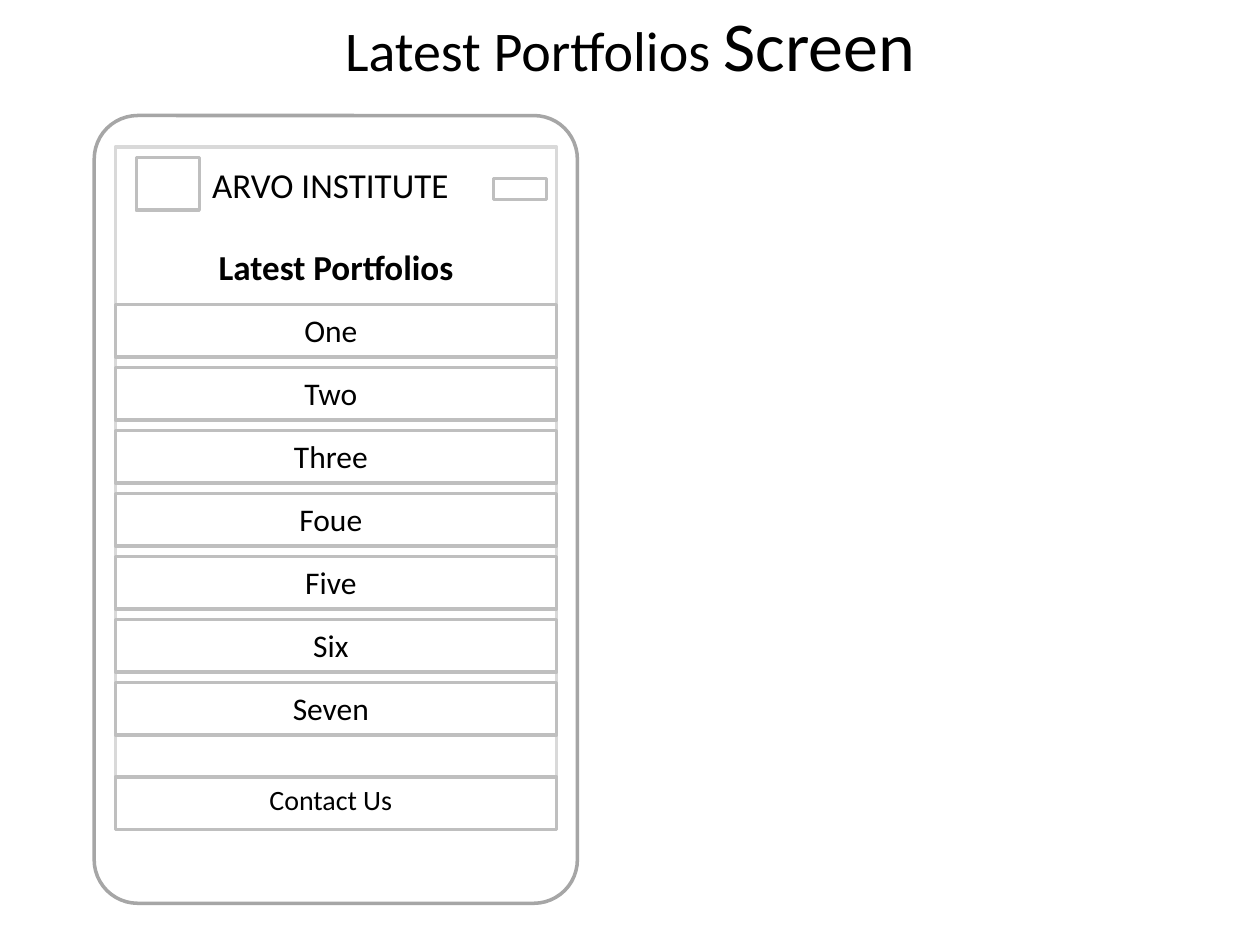
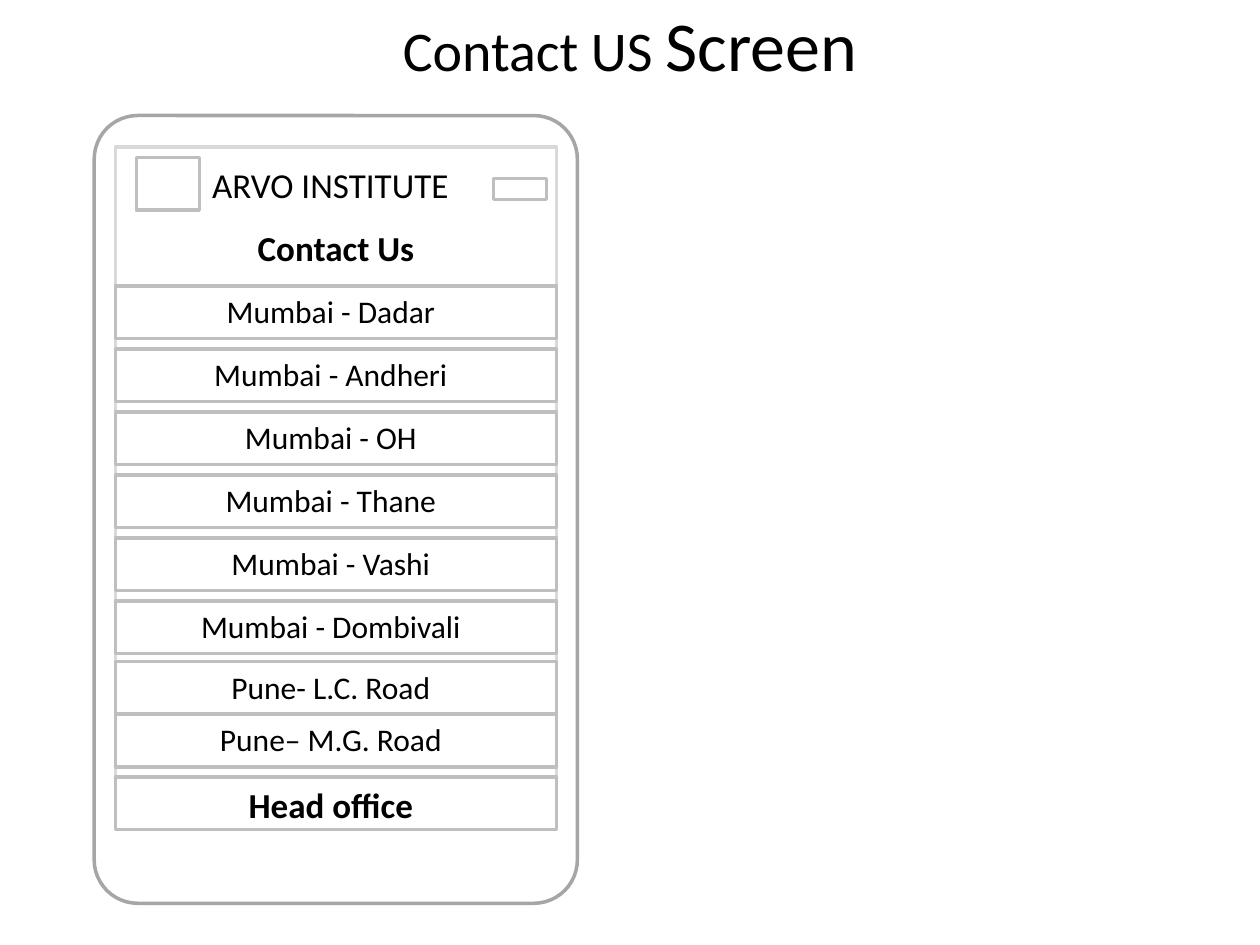
"""Build two phone wireframe slides: latest portfolios and contact us."""
from pptx import Presentation
from pptx.dml.color import RGBColor
from pptx.enum.shapes import MSO_SHAPE
from pptx.enum.text import MSO_ANCHOR, PP_ALIGN
from pptx.util import Cm, Pt

BLACK = RGBColor(0x00, 0x00, 0x00)
PHONE_GREY = RGBColor(0xA6, 0xA6, 0xA6)
BOX_GREY = RGBColor(0xBF, 0xBF, 0xBF)
SCREEN_GREY = RGBColor(0xD9, 0xD9, 0xD9)
FONT = "Calibri"

SCREEN_LEFT, SCREEN_WIDTH = 2.33, 8.89
ROW_HEIGHT, ROW_PITCH = 1.06, 1.27
LABEL_LEFT, LABEL_WIDTH = 3.39, 6.56
FOOTER_TOP = 15.66

SCREENS = [
    {
        "title": "Latest Portfolios ",
        "heading": ("Latest Portfolios", 4.83),
        "lists": [
            (6.14, ROW_PITCH, ["One", "Two", "Three", "Foue", "Five", "Six", "Seven"]),
        ],
        "footer": ("Contact Us", 16, False),
    },
    {
        "title": "Contact US ",
        "heading": ("Contact Us", 4.45),
        "lists": [
            (5.77, ROW_PITCH, ["Mumbai - Dadar", "Mumbai - Andheri", "Mumbai - OH",
                               "Mumbai - Thane", "Mumbai - Vashi", "Mumbai - Dombivali"]),
            (13.34, ROW_HEIGHT, ["Pune- L.C. Road", "Pune– M.G. Road"]),
        ],
        "footer": ("Head office", 20, True),
    },
]


def add_outline(s, left, top, width, height, color=BOX_GREY, kind=MSO_SHAPE.RECTANGLE):
    sp = s.shapes.add_shape(kind, Cm(left), Cm(top), Cm(width), Cm(height))
    sp.shadow.inherit = False
    sp.fill.background()
    sp.line.color.rgb = color
    sp.line.width = Pt(2)
    return sp


def add_text(s, left, top, width, height, runs, bold=False):
    tf = s.shapes.add_textbox(Cm(left), Cm(top), Cm(width), Cm(height)).text_frame
    tf.word_wrap = True
    p = tf.paragraphs[0]
    p.alignment = PP_ALIGN.CENTER
    for text, size in runs:
        r = p.add_run()
        r.text = text
        r.font.name = FONT
        r.font.size = Pt(size)
        r.font.bold = bold
        r.font.color.rgb = BLACK
    return tf


prs = Presentation()
prs.slide_width, prs.slide_height = Cm(25.4), Cm(19.05)

for screen in SCREENS:
    s = prs.slides.add_slide(prs.slide_layouts[6])
    tf = add_text(s, 1.27, 0.21, 22.86, 1.35, [(screen["title"], 32), ("Screen", 40)])
    tf.vertical_anchor = MSO_ANCHOR.MIDDLE

    phone = add_outline(s, 1.9, 2.33, 9.74, 15.88, PHONE_GREY, MSO_SHAPE.ROUNDED_RECTANGLE)
    phone.adjustments[0] = 0.09
    add_outline(s, SCREEN_LEFT, 2.96, SCREEN_WIDTH, 13.76, SCREEN_GREY)

    add_outline(s, 2.75, 3.18, 1.27, 1.06)
    tf = add_text(s, 4.06, 3.18, 5.2, 1.11, [("ARVO INSTITUTE", 20)])
    tf.margin_left = tf.margin_right = Cm(0)
    add_outline(s, 9.95, 3.6, 1.07, 0.42)

    heading, heading_top = screen["heading"]
    add_text(s, 2.75, heading_top, 8.05, 1.11, [(heading, 20)], bold=True)

    rows = [(first + i * pitch, label, 18, False)
            for first, pitch, labels in screen["lists"]
            for i, label in enumerate(labels)]
    rows.append((FOOTER_TOP, *screen["footer"]))
    for top, label, size, bold in rows:
        add_outline(s, SCREEN_LEFT, top, SCREEN_WIDTH, ROW_HEIGHT)
        add_text(s, LABEL_LEFT, top, LABEL_WIDTH, ROW_HEIGHT, [(label, size)], bold)

prs.save("out.pptx")
